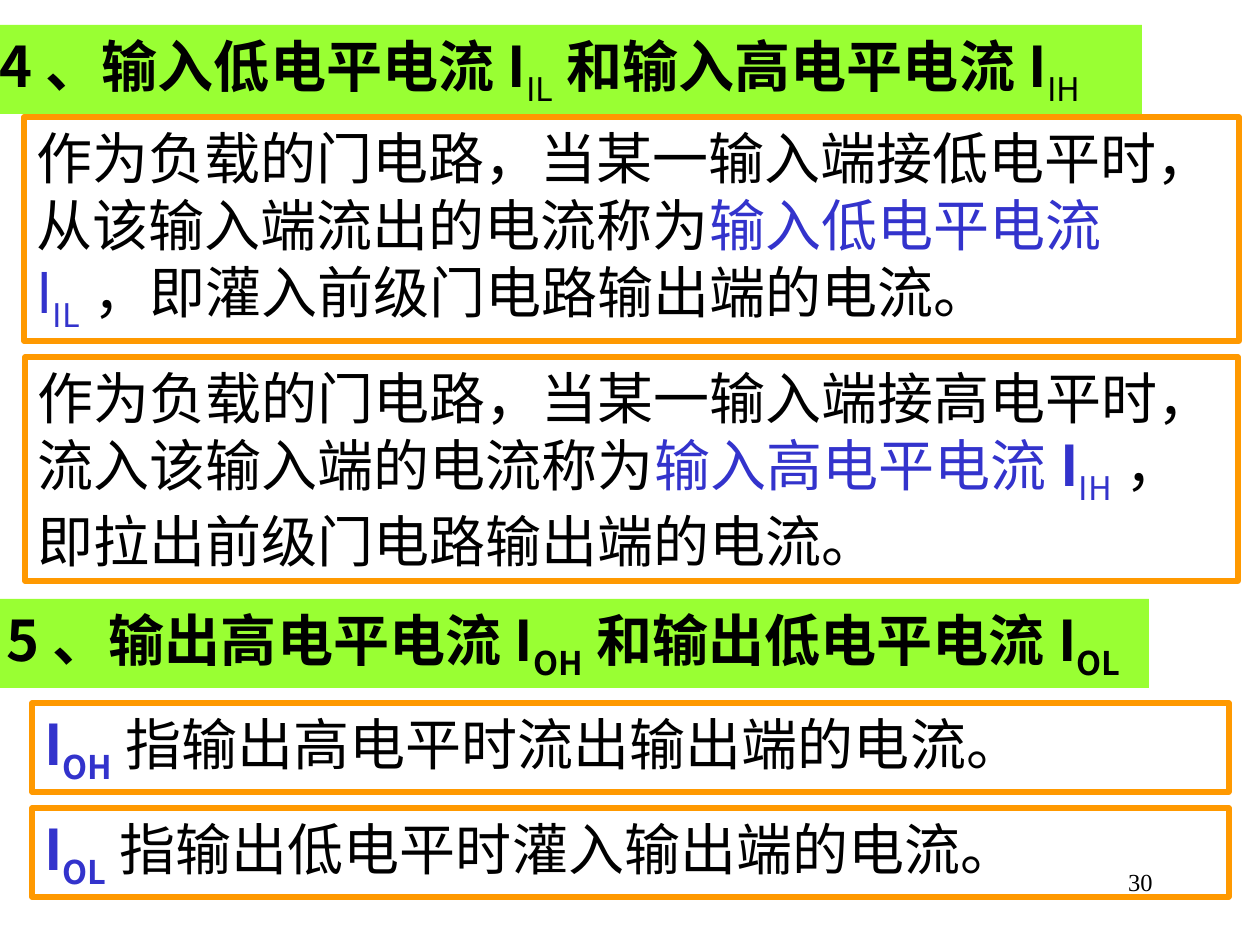
"""Build the slide on input and output level currents of gate circuits."""
import pptx
import pptx.dml.color
import pptx.enum.shapes
import pptx.enum.text
import pptx.oxml
import pptx.oxml.ns
import pptx.util

PX = 914400 / 126
FONT = "Noto Sans CJK SC"
COLORS = {"text": "000000", "term": "3333CC", "band": "99FF33", "frame": "FF9900"}


def px(*lengths):
    """Turn pixel lengths into EMU."""
    return [pptx.util.Emu(round(n * PX)) for n in lengths]


def rgb(name):
    """Look up a colour by its role."""
    return pptx.dml.color.RGBColor.from_string(COLORS[name])


def set_font(font, name, size):
    """Set the Latin and East Asian typeface and the size."""
    font.name = name
    font.size = pptx.util.Pt(size)
    ea = pptx.oxml.parse_xml(f'<a:ea {pptx.oxml.ns.nsdecls("a")} typeface="{name}"/>')
    font._element.find(pptx.oxml.ns.qn("a:latin")).addnext(ea)


def add_run(p, text, color="text", bold=False, sub=False):
    """Add one run, as a subscript if asked."""
    r = p.add_run()
    r.text = text
    r.font.bold = bold
    r.font.color.rgb = rgb(color)
    if sub:
        r._r.get_or_add_rPr().set("baseline", "-25000")


def add_box(s, box, runs, wrap=True):
    """Add a rectangle holding one left-aligned paragraph of runs."""
    sp = s.shapes.add_shape(pptx.enum.shapes.MSO_SHAPE.RECTANGLE, *px(*box))
    sp.shadow.inherit = False
    tf = sp.text_frame
    tf.word_wrap = wrap
    tf.auto_size = pptx.enum.text.MSO_AUTO_SIZE.SHAPE_TO_FIT_TEXT
    tf.vertical_anchor = pptx.enum.text.MSO_ANCHOR.TOP
    p = tf.paragraphs[0]
    p.alignment = pptx.enum.text.PP_ALIGN.LEFT
    set_font(p.font, FONT, 32)
    for run in runs:
        add_run(p, *run)
    return sp


def add_heading(s, left, top, runs):
    """Add a filled heading band."""
    sp = add_box(s, (left, top, 1155, 89), runs, wrap=False)
    sp.fill.solid()
    sp.fill.fore_color.rgb = rgb("band")
    sp.line.fill.background()


def add_frame(s, box, runs):
    """Add an outlined explanation box."""
    sp = add_box(s, box, runs)
    sp.fill.background()
    sp.line.color.rgb = rgb("frame")
    sp.line.width = pptx.util.Pt(3)


def add_page_number(s, text):
    """Add the page number."""
    tf = s.shapes.add_textbox(*px(903, 861, 262, 63)).text_frame
    tf.word_wrap = True
    p = tf.paragraphs[0]
    p.alignment = pptx.enum.text.PP_ALIGN.RIGHT
    set_font(p.font, "Times New Roman", 14)
    add_run(p, text)


def main():
    """Build and save the slide."""
    prs = pptx.Presentation()
    prs.slide_width, prs.slide_height = px(1260, 945)
    s = prs.slides.add_slide(prs.slide_layouts[6])
    add_page_number(s, "30")
    add_frame(s, (25, 357, 1213, 224), [
        ("作为负载的门电路，当某一输入端接高电平时，流入该输入端的电流称为",),
        ("输入高电平电流", "term"),
        ("I", "term", True),
        ("IH", "term", False, True),
        ("，即拉出前级门电路输出端的电流。",),
    ])
    add_frame(s, (24, 117, 1215, 224), [
        ("作为负载的门电路，当某一输入端接低电平时，从该输入端流出的电流称为",),
        ("输入低电平电流I", "term"),
        ("IL", "term", False, True),
        ("，即灌入前级门电路输出端的电流。",),
    ])
    add_heading(s, -13, 25, [
        ("4、输入低电平电流I", "text", True),
        ("IL", "text", False, True),
        ("和输入高电平电流I", "text", True),
        ("IH", "text", False, True),
    ])
    add_heading(s, -6, 599, [
        ("5、输出高电平电流I", "text", True),
        ("OH", "text", True, True),
        ("和输出低电平电流I", "text", True),
        ("OL", "text", True, True),
    ])
    outputs = [("OH", "指输出高电平时流出输出端的电流。"),
               ("OL", "指输出低电平时灌入输出端的电流。")]
    for i, (level, meaning) in enumerate(outputs):
        add_frame(s, (32, 703 + 105 * i, 1197, 89), [
            ("I", "term", True),
            (level, "term", True, True),
            (meaning,),
        ])
    prs.save("out.pptx")


if __name__ == "__main__":
    main()
